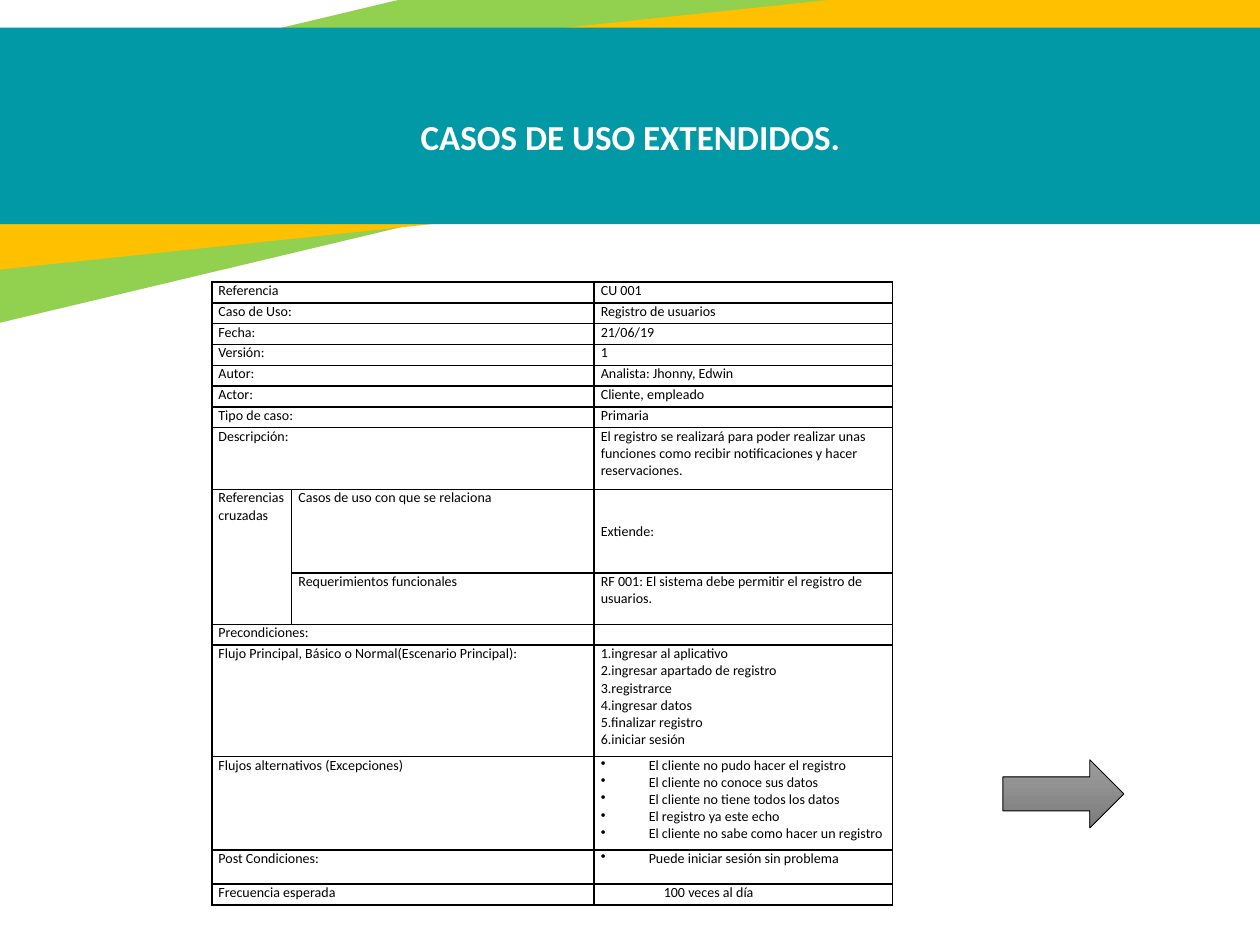
from lxml import etree
from pptx import Presentation
from pptx.dml.color import RGBColor
from pptx.enum import shapes, text
from pptx.oxml import ns
from pptx.util import Pt

COLORS = {"green": "92D050", "amber": "FFC000", "teal": "0099A5", "ink": "000000",
          "paper": "FFFFFF", "arrow_top": "9D9D9D", "arrow_bottom": "7C7C7C"}
FONT = "Calibri"


def rgb(name):
    return RGBColor.from_string(COLORS[name])


def add_xml(parent, tag, **attributes):
    return etree.SubElement(parent, ns.qn(tag), attributes)


prs = Presentation()
prs.slide_width, prs.slide_height = Pt(720), Pt(540)
slide = prs.slides.add_slide(prs.slide_layouts[5])

# Header bands: two tilted, one level
bands = [
    ("green", -180.7, -13, 940.3, 126.7, 346.6),
    ("amber", -79.2, 14.4, 837.4, 103.7, 354),
    ("teal", -76.3, 15.8, 837.4, 112.3, 0),
]
for color, left, top, width, height, angle in bands:
    band = slide.shapes.add_shape(shapes.MSO_SHAPE.RECTANGLE,
                                  Pt(left), Pt(top), Pt(width), Pt(height))
    band.rotation = angle
    band.shadow.inherit = False
    band.fill.solid()
    band.fill.fore_color.rgb = rgb(color)
    band.line.fill.background()

# Title, in front of the bands
title = slide.shapes.title
slide.shapes._spTree.append(title._element)
title.left, title.top, title.width, title.height = Pt(77.8), Pt(16.6), Pt(565.2), Pt(123.1)
title.text_frame.text = "CASOS DE USO EXTENDIDOS."
title.text_frame.vertical_anchor = text.MSO_ANCHOR.MIDDLE
heading = title.text_frame.paragraphs[0]
heading.alignment = text.PP_ALIGN.CENTER
for key, value in {"name": FONT, "size": Pt(20), "bold": True}.items():
    setattr(heading.runs[0].font, key, value)
heading.runs[0].font.color.rgb = rgb("white" if "white" in COLORS else "paper")

# Use case: row height, first label, second label, value lines
LINE = 11.9
use_case = [
    (LINE, "Referencia", "", ["CU 001"]),
    (LINE, "Caso de Uso:", "", ["Registro de usuarios"]),
    (LINE, "Fecha:", "", ["21/06/19"]),
    (LINE, "Versión:", "", ["1"]),
    (LINE, "Autor:", "", ["Analista: Jhonny, Edwin"]),
    (LINE, "Actor:", "", ["Cliente, empleado"]),
    (LINE, "Tipo de caso:", "", ["Primaria"]),
    (35.4, "Descripción:", "", ["El registro se realizará para poder realizar unas funciones "
                                "como recibir notificaciones y hacer reservaciones."]),
    (47.7, "Referencias cruzadas", "Casos de uso con que se relaciona", ["Extiende:"]),
    (29.4, "", "Requerimientos funcionales",
     ["RF 001: El sistema debe permitir el registro de usuarios."]),
    (LINE, "Precondiciones:", "", [""]),
    (63.7, "Flujo Principal, Básico o Normal(Escenario Principal):", "",
     ["1.ingresar al aplicativo", "2.ingresar apartado de registro", "3.registrarce",
      "4.ingresar datos", "5.finalizar registro", "6.iniciar sesión"]),
    (53.4, "Flujos alternativos (Excepciones)", "",
     ["El cliente no pudo hacer el registro", "El cliente no conoce sus datos",
      "El cliente no tiene todos los datos", "El registro ya este echo",
      "El cliente no sabe como hacer un registro"]),
    (19.4, "Post Condiciones:", "", ["Puede iniciar sesión sin problema"]),
    (LINE, "Frecuencia esperada", "", ["100 veces al día"]),
]
CROSS_REFS, BULLETED, FREQUENCY = 8, (12, 13), 14
column_widths = [45.7, 172.8, 170.6]
table = slide.shapes.add_table(len(use_case), 3, Pt(121), Pt(161.2), Pt(sum(column_widths)),
                               Pt(sum(row[0] for row in use_case))).table
table.first_row = table.horz_banding = False
for column, width in zip(table.columns, column_widths):
    column.width = Pt(width)

cell_format = {"margin_left": Pt(3.8), "margin_right": Pt(3.8), "margin_top": 0,
               "margin_bottom": 0, "vertical_anchor": text.MSO_ANCHOR.TOP}
for r, (height, label, sublabel, values) in enumerate(use_case):
    table.rows[r].height = Pt(height)
    for c, lines in enumerate(([label], [sublabel], values)):
        cell = table.cell(r, c)
        for key, value in cell_format.items():
            setattr(cell, key, value)
        # Borders come before the fill in the cell properties
        for side in ("a:lnL", "a:lnR", "a:lnT", "a:lnB"):
            border = add_xml(cell._tc.get_or_add_tcPr(), side, w=str(Pt(1)))
            add_xml(add_xml(border, "a:solidFill"), "a:srgbClr", val=COLORS["ink"])
        cell.fill.background()
        for i, line in enumerate(lines):
            frame = cell.text_frame
            paragraph = frame.add_paragraph() if i else frame.paragraphs[0]
            if line:
                run = paragraph.add_run()
                run.text = line
                run.font.name, run.font.size = FONT, Pt(8)
                run.font.color.rgb = rgb("ink")
            else:
                add_xml(paragraph._p, "a:endParaRPr", sz="800")
            if c == 2 and r in BULLETED:
                props = paragraph._p.get_or_add_pPr()
                props.set("marL", str(Pt(27.4)))
                props.set("indent", str(-Pt(27.4)))
                add_xml(props, "a:buChar", char="•")
            elif c == 2 and r == FREQUENCY:
                paragraph._p.get_or_add_pPr().set("marL", str(Pt(36)))

table.cell(CROSS_REFS, 2).vertical_anchor = text.MSO_ANCHOR.MIDDLE

# Labels span two columns, except the cross references, which span two rows
for r in range(len(use_case)):
    if r == CROSS_REFS:
        table.cell(r, 0).merge(table.cell(r + 1, 0))
    elif r != CROSS_REFS + 1:
        table.cell(r, 0).merge(table.cell(r, 1))

# Arrow to the next slide
arrow = slide.shapes.add_shape(shapes.MSO_SHAPE.RIGHT_ARROW,
                               Pt(573.1), Pt(434.2), Pt(69.1), Pt(38.9))
arrow.shadow.inherit = False
arrow.fill.gradient()
arrow.fill.gradient_angle = 270
for stop, color in zip(arrow.fill.gradient_stops, ("arrow_top", "arrow_bottom")):
    stop.color.rgb = rgb(color)
arrow.line.color.rgb = rgb("ink")
arrow.line.width = Pt(0.5)

prs.save("out.pptx")
